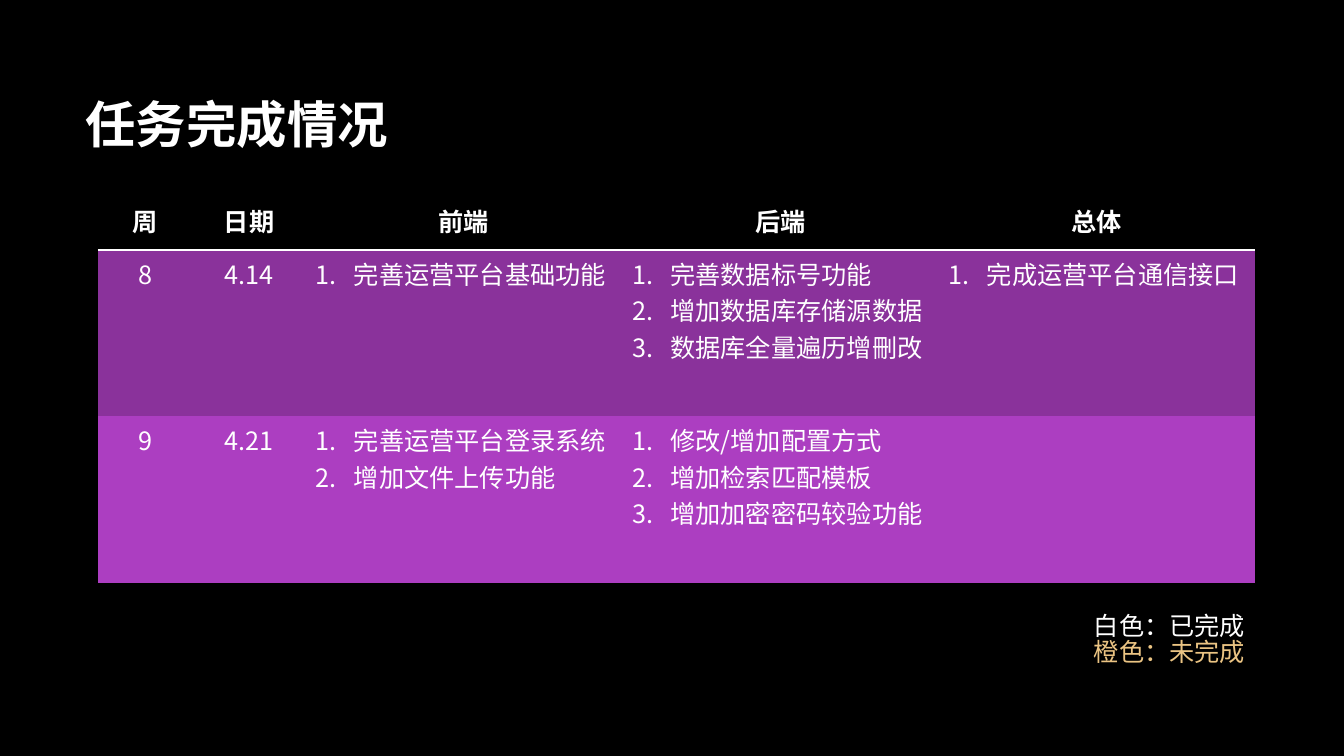
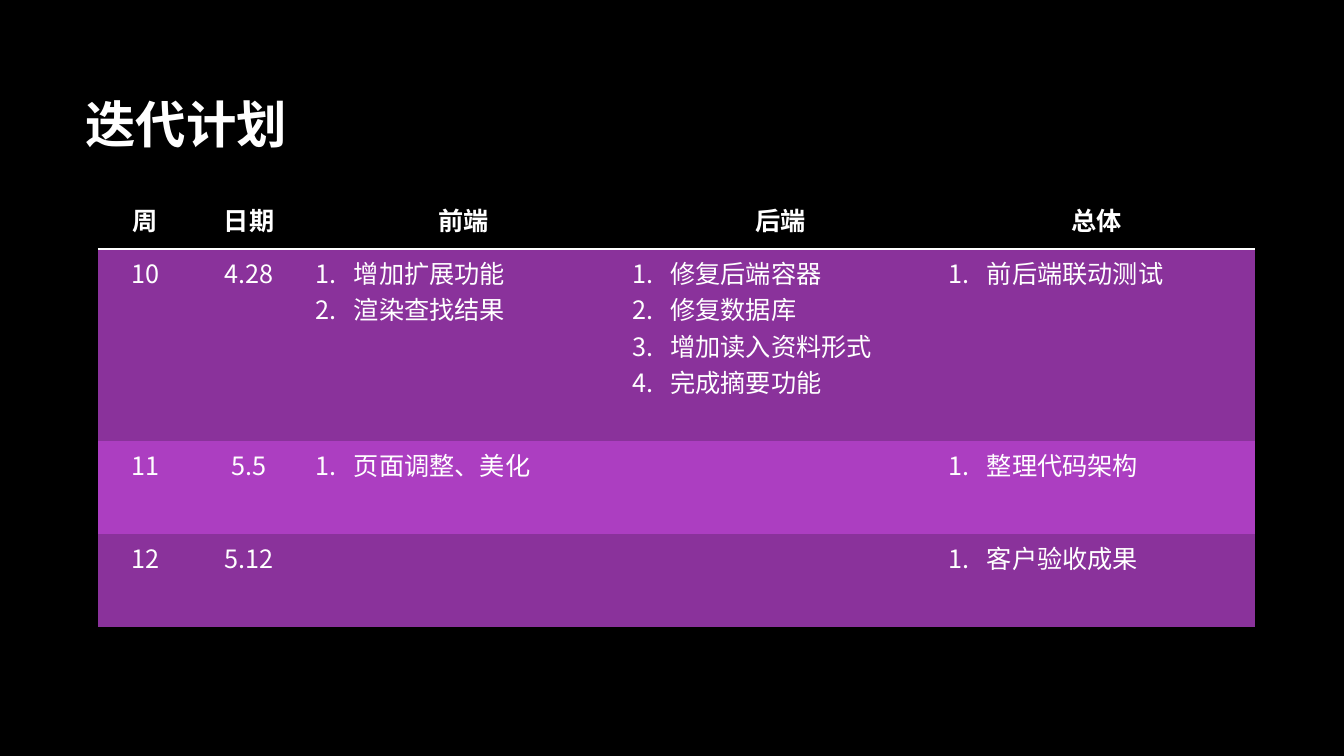
from lxml.etree import SubElement
from pptx import Presentation
from pptx.dml.color import RGBColor
from pptx.enum.text import MSO_ANCHOR as Anchor, PP_ALIGN as Align
from pptx.oxml.ns import qn
from pptx.util import Inches, Pt

# Shared style
FONT = "Noto Sans CJK JP"
BLACK, WHITE, ORANGE = "000000", "FFFFFF", "EBC483"
BANDS = ("8A329B", "AC3EC1")
NO_STYLE = "{2D5ABB26-0587-4C30-8999-92F81FD0307C}"
INDENT = Inches(0.38)

# Grid: all places are percentages of the slide's width and height
WIDTH, HEIGHT = Inches(13.33), Inches(7.5)
TITLE_BOX = (5.63, 8.93, 83.1, 14.67)
LEGEND_BOX = (80.65, 80.67, 12.9, 9.47)
TABLE_LEFT, TABLE_TOP = 7.28, 25.2
COLUMNS = (7.05, 8.4, 23.55, 23.55, 23.55)
HEADERS = ("周", "日期", "前端", "后端", "总体")

# Content: week, date, then one task list for each area
DONE = [
    ("8", "4.14", ["完善运营平台基础功能"],
     ["完善数据标号功能", "增加数据库存储源数据", "数据库全量遍历增刪改"],
     ["完成运营平台通信接口"]),
    ("9", "4.21", ["完善运营平台登录系统", "增加文件上传功能"],
     ["修改/增加配置方式", "增加检索匹配模板", "增加加密密码较验功能"], []),
]
PLAN = [
    ("10", "4.28", ["增加扩展功能", "渲染查找结果"],
     ["修复后端容器", "修复数据库", "增加读入资料形式", "完成摘要功能"],
     ["前后端联动测试"]),
    ("11", "5.5", ["页面调整、美化"], [], ["整理代码架构"]),
    ("12", "5.12", [], [], ["客户验收成果"]),
]
LEGEND = (("白色：已完成", WHITE), ("橙色：未完成", ORANGE))


def rgb(color):
    return RGBColor.from_string(color)


def across(share):
    return round(WIDTH * share / 100)


def down(share):
    return round(HEIGHT * share / 100)


def paint(target, color):
    target.fill.solid()
    target.fill.fore_color.rgb = rgb(color)


def add_run(p, text, size=18, color=WHITE, bold=False):
    r = p.add_run()
    r.text = text
    r.font.name, r.font.size, r.font.bold = FONT, Pt(size), bold
    r.font.color.rgb = rgb(color)
    SubElement(r.font._element, qn("a:ea"), typeface=FONT)


def paragraphs(tf, items):
    """Yield a paragraph with each item, starting with the existing one."""
    for i, item in enumerate(items):
        yield (tf.add_paragraph() if i else tf.paragraphs[0]), item


def add_box(s, left, top, width, height):
    return s.shapes.add_textbox(across(left), down(top),
                                across(width), down(height)).text_frame


def add_slide(prs, title):
    s = prs.slides.add_slide(prs.slide_layouts[6])
    paint(s.background, BLACK)
    tf = add_box(s, *TITLE_BOX)
    tf.word_wrap, tf.vertical_anchor = True, Anchor.MIDDLE
    add_run(tf.paragraphs[0], title, 36, bold=True)
    return s


# Table cells
def centre(cell, text, bold=False):
    p = cell.text_frame.paragraphs[0]
    p.alignment = Align.CENTER
    add_run(p, text, bold=bold)


def fill_header(cell, text):
    cell.vertical_anchor = Anchor.MIDDLE
    centre(cell, text, bold=True)
    # The bottom border must come before the fill
    line = SubElement(cell._tc.get_or_add_tcPr(), qn("a:lnB"), w=str(Pt(2)))
    color = SubElement(SubElement(line, qn("a:solidFill")), qn("a:srgbClr"))
    color.set("val", WHITE)
    paint(cell, BLACK)


def fill_tasks(cell, tasks):
    for p, task in paragraphs(cell.text_frame, tasks):
        pPr = p._p.get_or_add_pPr()
        pPr.set("marL", str(INDENT))
        pPr.set("indent", str(-INDENT))
        SubElement(pPr, qn("a:buFont"), typeface=FONT)
        SubElement(pPr, qn("a:buAutoNum"), type="arabicPeriod")
        add_run(p, task)


def add_schedule(s, weeks, heights):
    table = s.shapes.add_table(
        len(weeks) + 1, len(COLUMNS), across(TABLE_LEFT), down(TABLE_TOP),
        across(sum(COLUMNS)), down(sum(heights))).table
    table._tbl.tblPr.find(qn("a:tableStyleId")).text = NO_STYLE
    for column, share in zip(table.columns, COLUMNS):
        column.width = across(share)
    for row, share in zip(table.rows, heights):
        row.height = down(share)
    for c, header in enumerate(HEADERS):
        fill_header(table.cell(0, c), header)
    for i, week in enumerate(weeks):
        for c, content in enumerate(week):
            cell = table.cell(i + 1, c)
            paint(cell, BANDS[i % 2])
            if c < 2:
                centre(cell, content)
            else:
                fill_tasks(cell, content)


def add_legend(s):
    tf = add_box(s, *LEGEND_BOX)
    tf.word_wrap = False
    for p, (text, color) in paragraphs(tf, LEGEND):
        p.line_spacing = 0.85
        add_run(p, text, color=color)


def main():
    prs = Presentation()
    prs.slide_width, prs.slide_height = WIDTH, HEIGHT

    # Finished tasks
    s = add_slide(prs, "任务完成情况")
    add_schedule(s, DONE, (7.87, 22, 22))
    add_legend(s)

    # Coming iterations
    s = add_slide(prs, "迭代计划")
    add_schedule(s, PLAN, (7.73, 25.47, 12.27, 12.27))

    prs.save("out.pptx")


if __name__ == "__main__":
    main()
